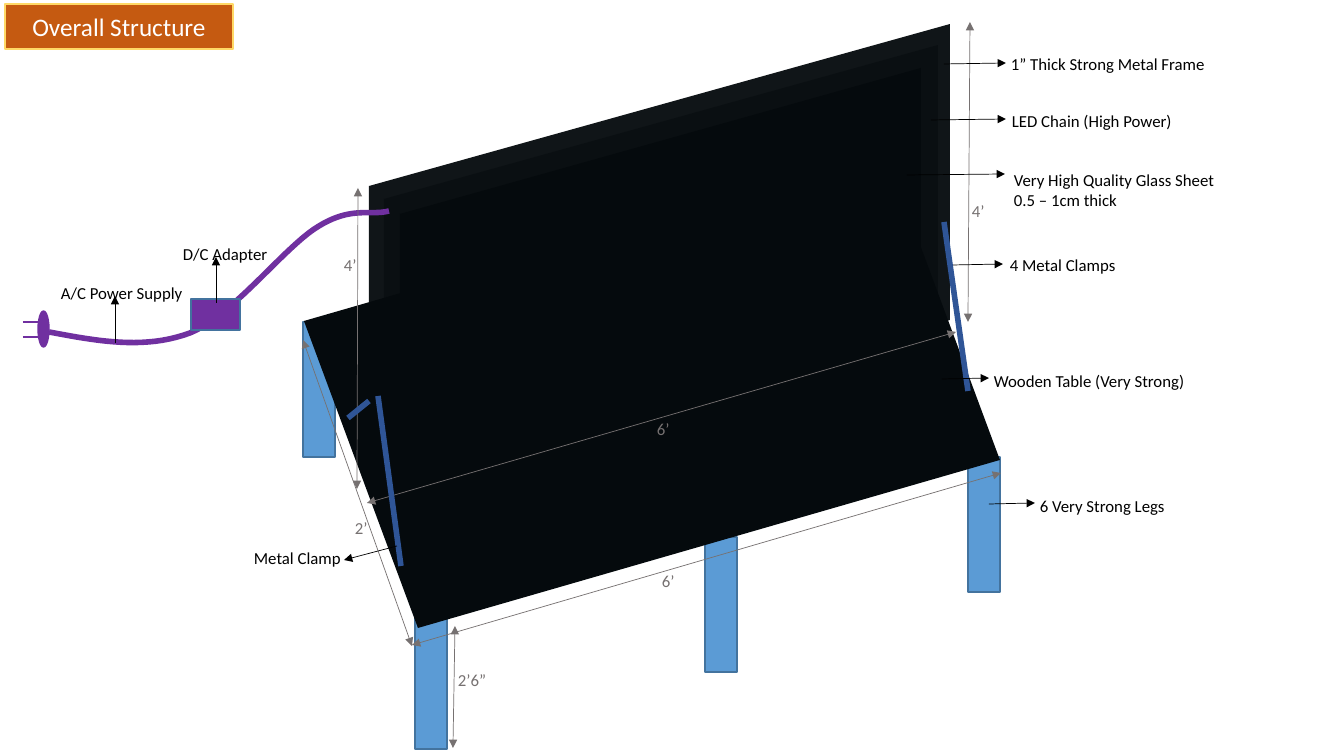
from lxml.etree import SubElement
from pptx import Presentation
from pptx.dml.color import RGBColor
from pptx.enum.shapes import MSO_CONNECTOR, MSO_SHAPE
from pptx.enum.text import MSO_ANCHOR, MSO_AUTO_SIZE, PP_ALIGN
from pptx.oxml.ns import qn
from pptx.util import Emu, Pt

PX = 914400 / 100.8
BLACK = RGBColor(0x00, 0x00, 0x00)
WHITE = RGBColor(0xFF, 0xFF, 0xFF)
GREY = RGBColor(0x76, 0x71, 0x71)
LEG_BLUE = RGBColor(0x5B, 0x9B, 0xD5)
EDGE_BLUE = RGBColor(0x43, 0x73, 0x9E)
CLAMP_BLUE = RGBColor(0x2F, 0x55, 0x97)
PURPLE = RGBColor(0x70, 0x30, 0xA0)
ORANGE = RGBColor(0xC5, 0x5A, 0x11)
GOLD = RGBColor(0xFF, 0xD9, 0x66)
FRAME_DARK = RGBColor(0x10, 0x15, 0x18)
LED_DARK = RGBColor(0x0A, 0x0F, 0x12)
GLASS_DARK = RGBColor(0x05, 0x0A, 0x0D)

prs = Presentation()
prs.slide_width = Emu(round(1344 * PX))
prs.slide_height = Emu(round(756 * PX))
s = prs.slides.add_slide(prs.slide_layouts[6])


def px(*values):
    return [Emu(round(v * PX)) for v in values]


def add_text(sp, text, size=12, color=BLACK, align=PP_ALIGN.LEFT,
             anchor=MSO_ANCHOR.TOP, wrap=False, fit=MSO_AUTO_SIZE.SHAPE_TO_FIT_TEXT):
    tf = sp.text_frame
    tf.word_wrap = wrap
    tf.auto_size = fit
    tf.vertical_anchor = anchor
    for i, line in enumerate(text.split("\n")):
        p = tf.paragraphs[0] if i == 0 else tf.add_paragraph()
        p.alignment = align
        r = p.add_run()
        r.text = line
        r.font.name = "Calibri"
        r.font.size = Pt(size)
        r.font.color.rgb = color


solids = []
for x, y in [(705, 537), (415, 614), (303, 322), (968, 457)]:
    sp = s.shapes.add_shape(MSO_SHAPE.RECTANGLE, *px(x, y, 32, 135))
    solids.append((sp, LEG_BLUE, EDGE_BLUE))

panels = [
    (FRAME_DARK, [(369, 186), (950, 24), (950, 320), (369, 482)]),
    (LED_DARK, [(384, 199), (938, 45), (938, 301), (384, 455)]),
    (GLASS_DARK, [(400, 214), (921, 68), (921, 285), (400, 431)]),
    (GLASS_DARK, [(304, 321), (886, 153), (1000, 460), (418, 628)]),
]
for color, corners in panels:
    fb = s.shapes.build_freeform(*corners[0], scale=PX)
    fb.add_line_segments(corners[1:], close=True)
    solids.append((fb.convert_to_shape(), color, None))

cable = [(49, 332), (97, 341), (144, 350), (190, 333), (234, 315), (285, 246),
         (319, 226), (352, 206), (370, 216), (389, 211)]
fb = s.shapes.build_freeform(*px(*cable[0]), scale=1.0)
for i in range(0, 9, 3):
    curve = []
    for t in [n / 20 for n in range(1, 21)]:
        weights = ((1 - t) ** 3, 3 * t * (1 - t) ** 2, 3 * t * t * (1 - t), t ** 3)
        curve.append(px(*[sum(w * pt[k] for w, pt in zip(weights, cable[i:i + 4]))
                          for k in (0, 1)]))
    fb.add_line_segments(curve, close=False)
cord = fb.convert_to_shape()
cord.shadow.inherit = False
cord.fill.background()
cord.line.color.rgb = PURPLE
cord.line.width = Pt(4)

plug = s.shapes.add_shape(MSO_SHAPE.OVAL, *px(38, 311, 11, 36))
adapter = s.shapes.add_shape(MSO_SHAPE.RECTANGLE, *px(191, 299, 49, 31))
title = s.shapes.add_shape(MSO_SHAPE.RECTANGLE, *px(5, 4, 228, 45))
solids += [(plug, PURPLE, PURPLE), (adapter, PURPLE, EDGE_BLUE), (title, ORANGE, GOLD)]
add_text(title, "Overall Structure", size=18, color=WHITE, align=PP_ALIGN.CENTER,
         anchor=MSO_ANCHOR.MIDDLE, wrap=True, fit=MSO_AUTO_SIZE.NONE)

for sp, fill, edge in solids:
    sp.shadow.inherit = False
    sp.fill.solid()
    sp.fill.fore_color.rgb = fill
    if edge is None:
        sp.line.fill.background()
    else:
        sp.line.color.rgb = edge
        sp.line.width = Pt(1)

prongs = [(23, 322, 38, 322), (23, 337, 38, 337)]
dimensions = [(412, 645, 1001, 473), (303, 340, 412, 646), (455, 626, 453, 748),
              (970, 22, 968, 322), (367, 503, 956, 332), (358, 188, 357, 489)]
clamps = [(369, 401, 348, 418), (378, 396, 401, 566), (944, 222, 968, 391)]
pointers = [(115, 343, 115, 296), (944, 64, 1006, 63), (931, 120, 1006, 119),
            (907, 175, 1005, 174), (942, 379, 989, 378), (216, 303, 216, 257),
            (989, 504, 1035, 503), (953, 265, 1003, 264), (397, 546, 344, 560)]
groups = [(prongs, PURPLE, 2, []), (dimensions, GREY, 0.5, ["a:headEnd", "a:tailEnd"]),
          (clamps, CLAMP_BLUE, 4, []), (pointers, BLACK, 0.5, ["a:tailEnd"])]
for ends, color, width, arrowheads in groups:
    for points in ends:
        cn = s.shapes.add_connector(MSO_CONNECTOR.STRAIGHT, *px(*points))
        cn.line.color.rgb = color
        cn.line.width = Pt(width)
        for tag in arrowheads:
            SubElement(cn.line._get_or_add_ln(), qn(tag), type="triangle")
        SubElement(cn._element.spPr, qn("a:effectLst"))

labels = [
    ("A/C Power Supply", 51, 278, 143, BLACK),
    ("D/C Adapter", 173, 239, 106, BLACK),
    ("Wooden Table (Very Strong)", 984, 366, 213, BLACK),
    ("1” Thick Strong Metal Frame", 1001, 49, 215, BLACK),
    ("LED Chain (High Power)", 1002, 106, 181, BLACK),
    ("Very High Quality Glass Sheet\n0.5 – 1cm thick", 1004, 165, 223, BLACK),
    ("6 Very Strong Legs", 1030, 491, 146, BLACK),
    ("4 Metal Clamps", 1000, 250, 127, BLACK),
    ("Metal Clamp", 244, 543, 108, BLACK),
    ("6’", 652, 566, 33, GREY),
    ("2’6”", 448, 665, 50, GREY),
    ("2’", 345, 513, 33, GREY),
    ("6’", 647, 414, 33, GREY),
    ("4’", 962, 196, 33, GREY),
    ("4’", 334, 250, 33, GREY),
]
for text, x, y, w, color in labels:
    h = 30 + 20 * text.count("\n")
    add_text(s.shapes.add_textbox(*px(x, y, w, h)), text, color=color)

prs.save("out.pptx")
